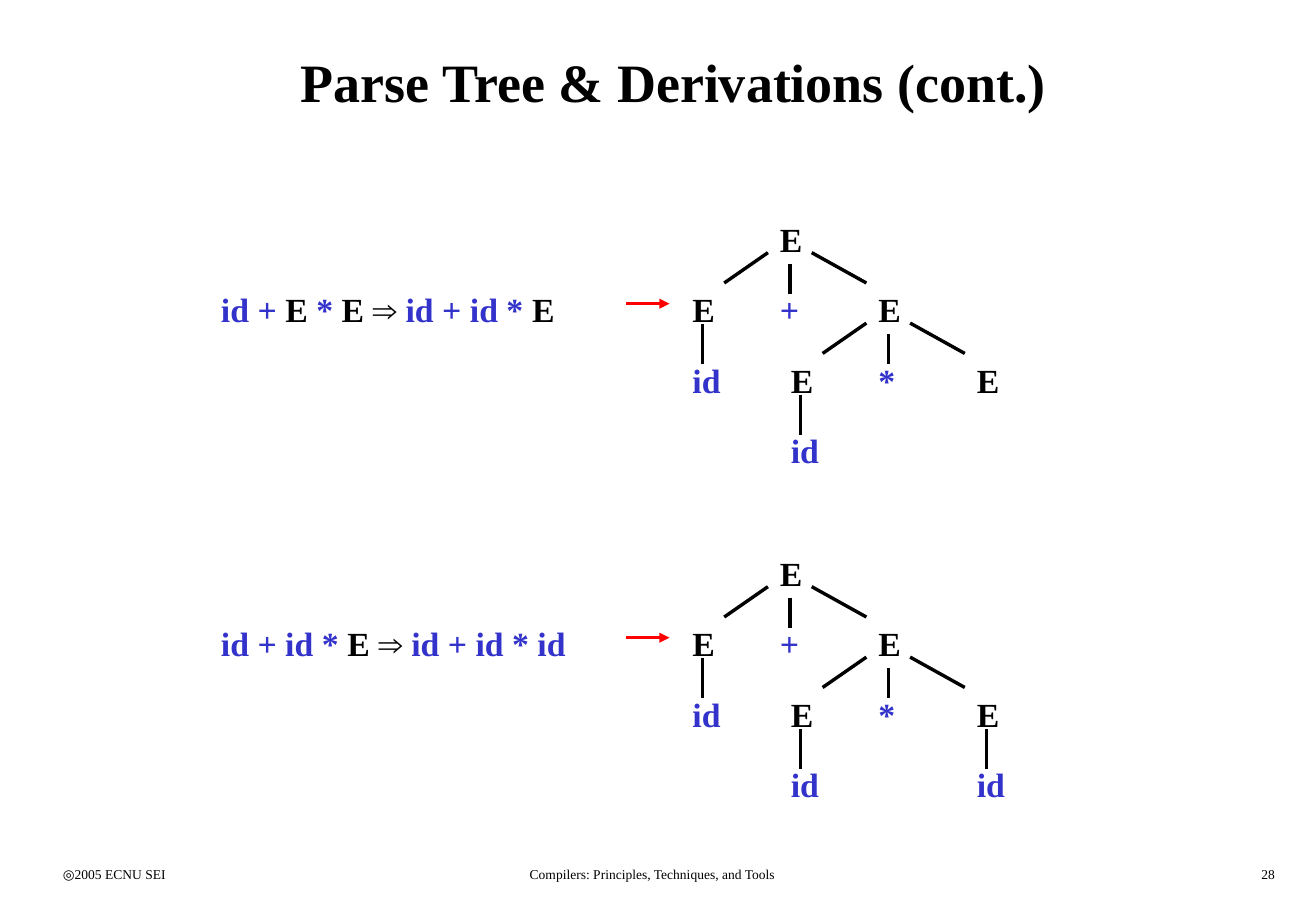
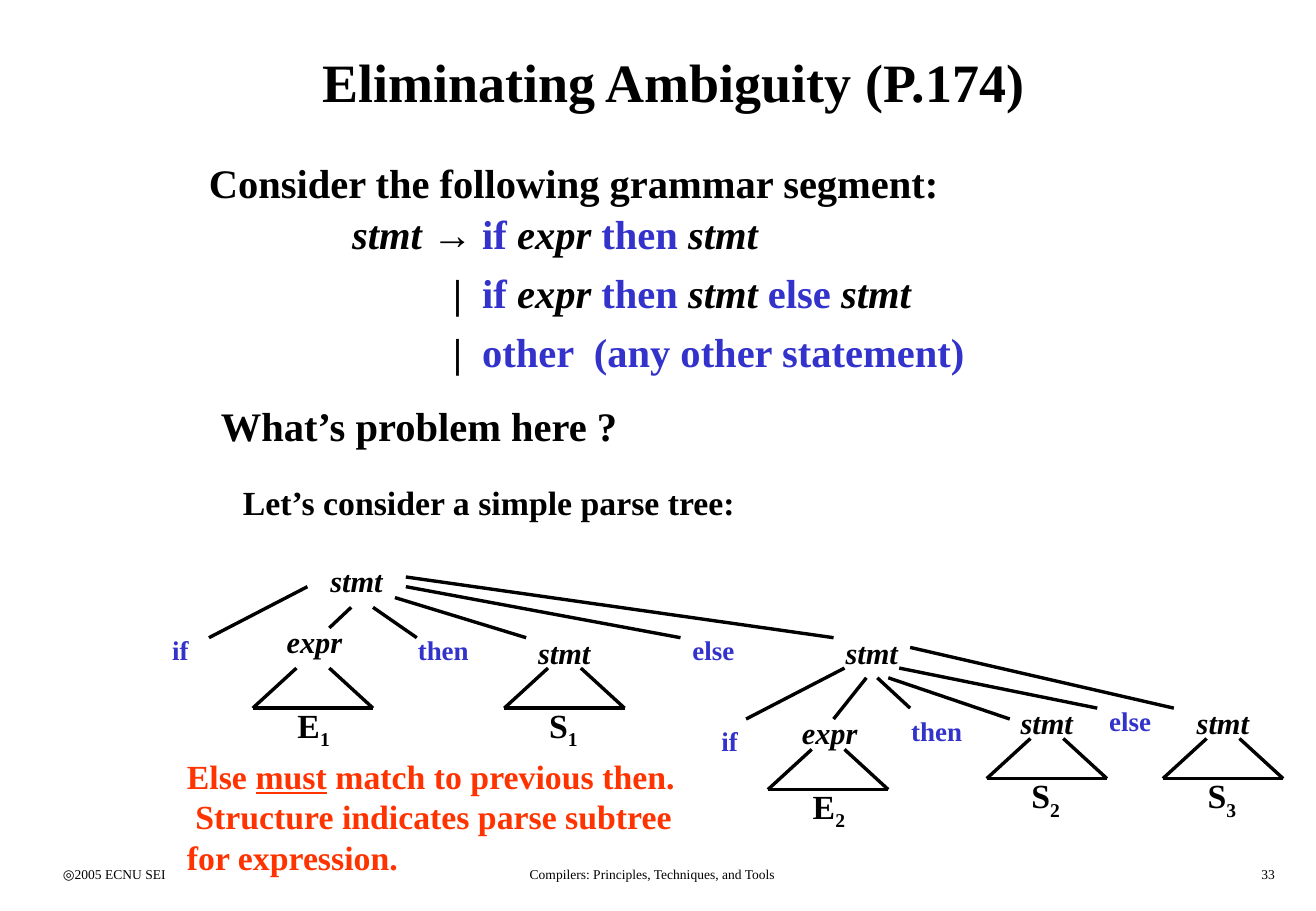
import pptx
import pptx.dml.color
import pptx.enum.shapes
import pptx.enum.text
import pptx.oxml.ns
import pptx.util
from lxml import etree

PX = 9144
FONT = "Times New Roman"
BLACK, BLUE, RED, ORANGE = "000000", "3333CC", "FF0000", "FF3300"
ALIGN = pptx.enum.text.PP_ALIGN
ANCHOR = pptx.enum.text.MSO_ANCHOR
LEVEL = 58
KEYWORD = {"color": BLUE}
SYMBOL = {"italic": True}


def px(*lengths):
    return [pptx.util.Emu(length * PX) for length in lengths]


def rgb(value):
    return pptx.dml.color.RGBColor.from_string(value)


def add_child(parent, tag, **attributes):
    return etree.SubElement(parent, pptx.oxml.ns.qn(tag), attributes)


def add_run(paragraph, content, size, color=BLACK, bold=True, italic=False,
            underline=False, subscript=False):
    run = paragraph.add_run()
    run.text = content
    font = run.font
    font.name, font.size = FONT, pptx.util.Pt(size)
    font.bold, font.italic, font.underline = bold, italic, underline
    font.color.rgb = rgb(color)
    if subscript:
        run._r.get_or_add_rPr().set("baseline", "-25000")


def add_text(slide, box, content, align=ALIGN.LEFT, anchor=ANCHOR.TOP,
             line_spacing=None, gap=0, tabs=(), **style):
    frame = slide.shapes.add_textbox(*px(*box)).text_frame
    frame.word_wrap = True
    frame.vertical_anchor = anchor
    lines = [[(content, {})]] if isinstance(content, str) else content
    for index, line in enumerate(lines):
        paragraph = frame.add_paragraph() if index else frame.paragraphs[0]
        paragraph.alignment = align
        if line_spacing:
            paragraph.line_spacing = line_spacing
        if index and gap:
            paragraph.space_before = pptx.util.Pt(gap)
        if tabs:
            stops = add_child(paragraph._p.get_or_add_pPr(), "a:tabLst")
            for stop in tabs:
                add_child(stops, "a:tab", pos=str(stop * PX), algn="l")
        for words, changes in line:
            add_run(paragraph, words, **{**style, **changes})


def add_line(slide, start, end, color=BLACK, arrow=False):
    line = slide.shapes.add_connector(
        pptx.enum.shapes.MSO_CONNECTOR.STRAIGHT, *px(*start, *end))
    line.line.color.rgb = rgb(color)
    line.line.width = pptx.util.Pt(2)
    if arrow:
        add_child(line.line._get_or_add_ln(), "a:tailEnd", type="triangle")
    add_child(line._element.spPr, "a:effectLst")


def add_page(deck, title, number):
    slide = deck.slides.add_slide(deck.slide_layouts[6])
    footers = [
        (42, 226, "◎2005 ECNU SEI", ALIGN.LEFT),
        (334, 406, "Compilers: Principles, Techniques, and Tools", ALIGN.CENTER),
        (833, 226, number, ALIGN.RIGHT),
    ]
    for left, width, words, align in footers:
        add_text(slide, (left, 708, width, 25), words, align=align, size=8, bold=False)
    add_text(slide, (42, 17, 1025, 100), title, align=ALIGN.CENTER,
             anchor=ANCHOR.MIDDLE, size=32)
    return slide


def add_node(slide, x, y, symbol):
    color = BLACK if symbol == "E" else BLUE
    add_text(slide, (x, y, 63, 43), symbol, size=20, color=color)


def add_leaf(slide, x, y):
    add_line(slide, (x + 18, y + 34), (x + 18, y + 67))
    add_node(slide, x, y + LEVEL, "id")


def add_branches(slide, x, y, operator):
    for start, end in [((0, 33), (-36, 58)), ((18, 42), (18, 67)), ((36, 33), (81, 58))]:
        add_line(slide, (x + start[0], y + start[1]), (x + end[0], y + end[1]))
    for shift, symbol in [(-72, "E"), (0, operator), (81, "E")]:
        add_node(slide, x + shift, y + LEVEL, symbol)


def add_derivation(slide, top, formula, last_leaf):
    add_text(slide, (172, top + LEVEL, 343, 43), [formula], size=20)
    add_line(slide, (515, top + 75), (551, top + 75), color=RED, arrow=True)
    add_node(slide, 632, top, "E")
    add_branches(slide, 632, top, "+")
    add_branches(slide, 713, top + LEVEL, "*")
    add_leaf(slide, 560, top + LEVEL)
    add_leaf(slide, 641, top + 2 * LEVEL)
    if last_leaf:
        add_leaf(slide, 794, top + 2 * LEVEL)


def add_subtree(slide, x, y, root, letter, index, rise=33):
    add_text(slide, (x + 18, y - rise, 81, 40), root, size=18, italic=True)
    left, right = (x, y + 33), (x + 99, y + 33)
    add_line(slide, (x + 36, y), left)
    add_line(slide, (x + 63, y), right)
    add_line(slide, left, right)
    add_text(slide, (x + 27, y + 25, 54, 43),
             [[(letter, {}), (index, {"subscript": True})]], size=20)


def add_statement_tree(slide):
    for x, y in [(262, 458), (686, 517)]:
        add_text(slide, (x, y, 81, 40), "stmt", size=18, italic=True)
    subtrees = [
        (208, 550, "expr", "E", "1", 42), (415, 550, "stmt", "S", "1"),
        (632, 617, "expr", "E", "2", 34), (812, 608, "stmt", "S", "2"),
        (957, 608, "stmt", "S", "3"),
    ]
    for subtree in subtrees:
        add_subtree(slide, *subtree)
    keywords = [
        (108, 517, "if"), (334, 517, "then"), (560, 517, "else"),
        (560, 592, "if"), (740, 583, "then"), (903, 575, "else"),
    ]
    for x, y, word in keywords:
        align = ALIGN.CENTER if word == "if" else ALIGN.LEFT
        add_text(slide, (x, y, 81, 37), word, align=align, size=16, color=BLUE)
    edges = [
        ((253, 483), (172, 525)), ((289, 500), (271, 517)), ((307, 500), (343, 525)),
        ((325, 492), (433, 525)), ((334, 483), (560, 525)), ((334, 475), (686, 525)),
        ((695, 550), (614, 592)), ((713, 558), (686, 592)), ((722, 558), (749, 583)),
        ((731, 558), (831, 592)), ((740, 550), (903, 583)), ((749, 533), (966, 583)),
    ]
    for start, end in edges:
        add_line(slide, start, end)


def build_derivations(deck):
    slide = add_page(deck, "Parse Tree & Derivations (cont.)", "28")
    add_derivation(slide, 175, [
        ("id +", KEYWORD), (" E ", {}), ("* ", KEYWORD), ("E ⇒ ", {}),
        ("id + id * ", KEYWORD), ("E", {})], last_leaf=False)
    add_derivation(slide, 450, [
        ("id + id * ", KEYWORD), ("E ⇒ ", {}), ("id + id * id", KEYWORD)], last_leaf=True)


def build_ambiguity(deck):
    slide = add_page(deck, "Eliminating Ambiguity (P.174)", "33")
    add_text(slide, (162, 125, 876, 50), "Consider the following grammar segment:", size=24)
    conditional = [("if ", KEYWORD), ("expr ", SYMBOL), ("then ", KEYWORD)]
    grammar = [
        [("stmt ", SYMBOL), ("→\t", {}), *conditional, ("stmt", SYMBOL)],
        [("\t|\t", {}), *conditional, ("stmt ", SYMBOL), ("else ", KEYWORD), ("stmt", SYMBOL)],
        [("\t|\t", {}), ("other  (any other statement)", KEYWORD)],
    ]
    add_text(slide, (280, 175, 614, 146), grammar, line_spacing=0.8, gap=12,
             tabs=(83, 107), size=24)
    add_text(slide, (172, 325, 876, 50), "What’s problem here ?", size=24)
    add_text(slide, (190, 392, 524, 43), "Let’s consider a simple parse tree:", size=20)
    add_statement_tree(slide)
    add_text(slide, (144, 617, 424, 110), [[
        ("Else ", {}), ("must", {"underline": True}),
        (" match to previous then.  Structure indicates parse subtree for expression.", {}),
    ]], size=20, color=ORANGE)


def main():
    deck = pptx.Presentation()
    deck.slide_width, deck.slide_height = px(1083, 750)
    build_derivations(deck)
    build_ambiguity(deck)
    deck.save("out.pptx")


if __name__ == "__main__":
    main()
